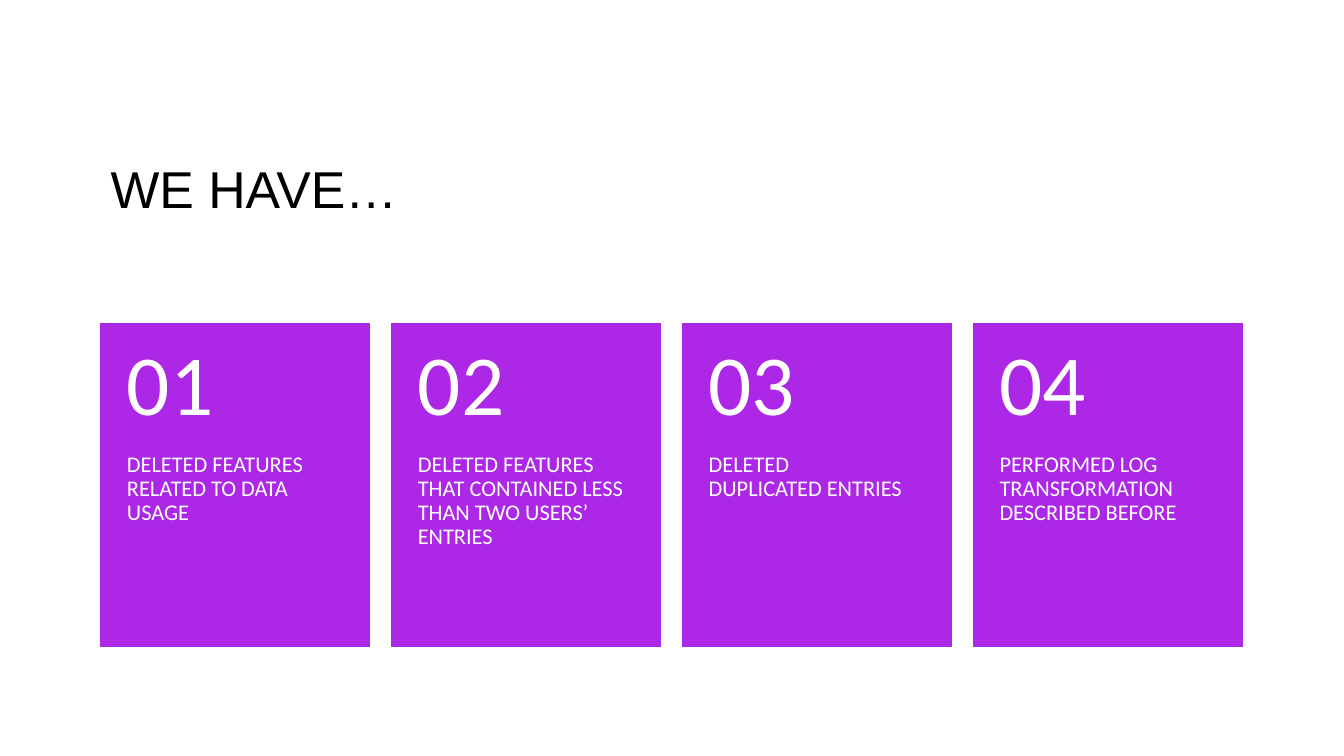
from pptx import Presentation
from pptx.dml.color import RGBColor
from pptx.enum.shapes import MSO_SHAPE
from pptx.enum.text import MSO_ANCHOR
from pptx.util import Cm, Pt

PURPLE = RGBColor(0xAD, 0x27, 0xE6)
WHITE = RGBColor(0xFF, 0xFF, 0xFF)
BLACK = RGBColor(0x00, 0x00, 0x00)

LEFT = 2.54
CARD_TOP, CARD_WIDTH, CARD_PITCH = 8.15, 6.78, 7.33
NUMBER_HEIGHT, STEP_HEIGHT = 3.26, 4.88

TITLE_FORMAT = dict(size=Pt(37), name="Arial")
NUMBER_FORMAT = dict(size=Pt(61), name="Calibri")
STEP_FORMAT = dict(size=Pt(16), name="Calibri")

STEPS = [
    "DELETED FEATURES RELATED TO DATA USAGE",
    "DELETED FEATURES THAT CONTAINED LESS THAN TWO USERS’ ENTRIES",
    "DELETED\nDUPLICATED ENTRIES",
    "PERFORMED LOG TRANSFORMATION DESCRIBED BEFORE",
]


def add_text(text, box, insets, font_format, color, spacing, anchor=MSO_ANCHOR.TOP):
    """Place text in box (left, top, width, height); insets are left/right, top, bottom; all in cm."""
    frame = slide.shapes.add_textbox(*map(Cm, box)).text_frame
    side, top, bottom = map(Cm, insets)
    frame_format = dict(word_wrap=True, vertical_anchor=anchor, margin_left=side,
                        margin_right=side, margin_top=top, margin_bottom=bottom)
    for key, value in frame_format.items():
        setattr(frame, key, value)
    frame.text = text
    for paragraph in frame.paragraphs:
        paragraph.line_spacing = spacing
        for run in paragraph.runs:
            for key, value in font_format.items():
                setattr(run.font, key, value)
            run.font.color.rgb = color


deck = Presentation()
deck.slide_width, deck.slide_height = Cm(33.87), Cm(19.05)
slide = deck.slides.add_slide(deck.slide_layouts[6])

add_text("WE HAVE…", (LEFT, 3.81, 28.78, 3.66), (0.25, 0.13, 0.13),
         TITLE_FORMAT, BLACK, 1.0)

for index, step in enumerate(STEPS):
    left = LEFT + index * CARD_PITCH
    card = slide.shapes.add_shape(MSO_SHAPE.RECTANGLE, Cm(left), Cm(CARD_TOP),
                                  Cm(CARD_WIDTH), Cm(NUMBER_HEIGHT + STEP_HEIGHT))
    card.shadow.inherit = False
    card.fill.solid()
    card.fill.fore_color.rgb = PURPLE
    card.line.color.rgb = PURPLE
    card.line.width = Pt(1)

    add_text(step, (left, CARD_TOP + NUMBER_HEIGHT, CARD_WIDTH, STEP_HEIGHT),
             (0.66, 0, 0.91), STEP_FORMAT, WHITE, 0.9)
    add_text(f"{index + 1:02}", (left, CARD_TOP, CARD_WIDTH, NUMBER_HEIGHT),
             (0.66, 0.46, 0.46), NUMBER_FORMAT, WHITE, 0.9, MSO_ANCHOR.MIDDLE)

deck.save("out.pptx")
